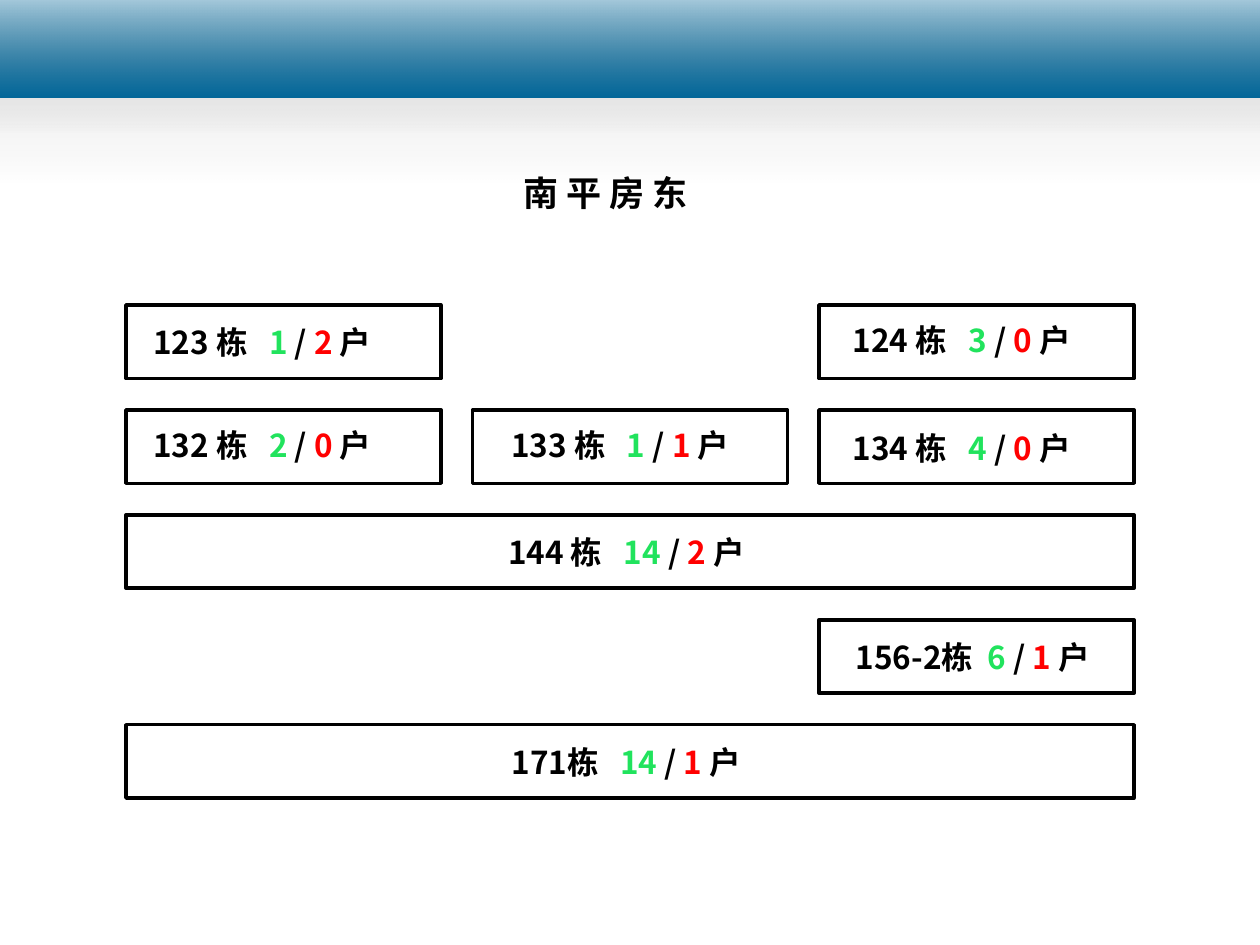
from lxml import etree
from pptx import Presentation
from pptx.dml.color import RGBColor
from pptx.enum import shapes, text
from pptx.oxml.ns import qn
from pptx.util import Cm, Pt

BLACK = RGBColor(0x00, 0x00, 0x00)
WHITE = RGBColor(0xFF, 0xFF, 0xFF)
GREEN = RGBColor(0x21, 0xE3, 0x5D)
RED = RGBColor(0xFF, 0x00, 0x00)
GREY = RGBColor(0xB6, 0xB6, 0xB6)
BLUE = RGBColor(0x00, 0x66, 0x99)
DEEP_BLUE = RGBColor(0x00, 0x65, 0x97)

SLIDE_W, SLIDE_H = 25.4, 19.05
BOX_W, BOX_H = 6.35, 1.48
GAP = BOX_W / 10
GRID_LEFT, GRID_TOP = 2.54, 6.15

SHADE = ((WHITE, 65), (GREY, 0))
BANNER = ((BLUE, 100), (DEEP_BLUE, 100))
BANDS = [(2.67, SHADE), (2.67, SHADE), (3.68, SHADE), (1.98, BANNER), (1.98, SHADE)]

# row, column, name, green count, red count, label offset inside the box
SMALL_BUILDINGS = [
    (0, 0, "123 栋   ", 1, 2, (0.3, 0.23)),
    (0, 2, "124 栋   ", 3, 0, (0.43, 0.2)),
    (1, 0, "132 栋   ", 2, 0, (0.3, 0.2)),
    (1, 1, "133 栋   ", 1, 1, (0.53, 0.2)),
    (1, 2, "134 栋   ", 4, 0, (0.43, 0.25)),
]
# row, column, columns spanned, name, green count, red count
CENTRED_BUILDINGS = [
    (2, 0, 3, "144 栋   ", 14, 2),
    (3, 2, 1, "156-2栋  ", 6, 1),
    (4, 0, 3, "171栋   ", 14, 1),
]


def household_runs(name, green, red, ending):
    return [(name, BLACK), (f"{green} ", GREEN), ("/ ", BLACK),
            (f"{red} ", RED), (ending, BLACK)]


def cell_origin(row, column):
    return GRID_LEFT + column * (BOX_W + GAP), GRID_TOP + row * (BOX_H + GAP)


class SlideBuilder:
    font_name = "Noto Sans CJK SC"

    def __init__(self, slide):
        self.slide = slide

    def rectangle(self, left, top, width, height):
        rect = self.slide.shapes.add_shape(
            shapes.MSO_SHAPE.RECTANGLE, Cm(left), Cm(top), Cm(width), Cm(height))
        rect.shadow.inherit = False
        return rect

    def band(self, height, stops):
        """Full-width strip at the top, shaded downwards; stops are (colour, opacity)."""
        strip = self.rectangle(0, 0, SLIDE_W, height)
        strip.line.fill.background()
        strip.fill.gradient()
        strip.fill.gradient_angle = 270
        for position, (stop, (colour, _)) in enumerate(zip(strip.fill.gradient_stops, stops)):
            stop.position = position
            stop.color.rgb = colour
        colours = strip._element.spPr.findall(".//" + qn("a:srgbClr"))
        for colour, (_, opacity) in zip(colours, stops):
            if opacity < 100:
                etree.SubElement(colour, qn("a:alpha"), val=str(opacity * 1000))

    def building(self, row, column, span=1):
        left, top = cell_origin(row, column)
        box = self.rectangle(left, top, span * BOX_W + (span - 1) * GAP, BOX_H)
        box.fill.solid()
        box.fill.fore_color.rgb = WHITE
        box.line.color.rgb = BLACK
        box.line.width = Pt(2)
        return box

    def add_runs(self, paragraph, runs, size=18):
        for words, colour in runs:
            run = paragraph.add_run()
            run.text = words
            run.font.size = Pt(size)
            run.font.bold = True
            run.font.name = self.font_name
            run.font.color.rgb = colour
            etree.SubElement(run._r.get_or_add_rPr(), qn("a:ea"), typeface=self.font_name)

    def centred_text(self, box, runs):
        box.text_frame.vertical_anchor = text.MSO_ANCHOR.MIDDLE
        paragraph = box.text_frame.paragraphs[0]
        paragraph.alignment = text.PP_ALIGN.CENTER
        self.add_runs(paragraph, runs)

    def label(self, left, top, width, height, runs, size=18):
        frame = self.slide.shapes.add_textbox(
            Cm(left), Cm(top), Cm(width), Cm(height)).text_frame
        frame.word_wrap = False
        frame.auto_size = text.MSO_AUTO_SIZE.SHAPE_TO_FIT_TEXT
        self.add_runs(frame.paragraphs[0], runs, size)


def main():
    deck = Presentation()
    deck.slide_width, deck.slide_height = Cm(SLIDE_W), Cm(SLIDE_H)
    builder = SlideBuilder(deck.slides.add_slide(deck.slide_layouts[6]))

    for height, stops in BANDS:
        builder.band(height, stops)
    builder.label(10.31, 3.33, 4.39, 1.09, [("南 平 房 东", BLACK)], size=20)

    for row, column, name, green, red, (dx, dy) in SMALL_BUILDINGS:
        builder.building(row, column)
        left, top = cell_origin(row, column)
        builder.label(left + dx, top + dy, 6.22, 1.02,
                      household_runs(name, green, red, "户"))

    for row, column, span, name, green, red in CENTRED_BUILDINGS:
        box = builder.building(row, column, span)
        builder.centred_text(box, household_runs(name, green, red, "户 "))

    deck.save("out.pptx")


if __name__ == "__main__":
    main()
